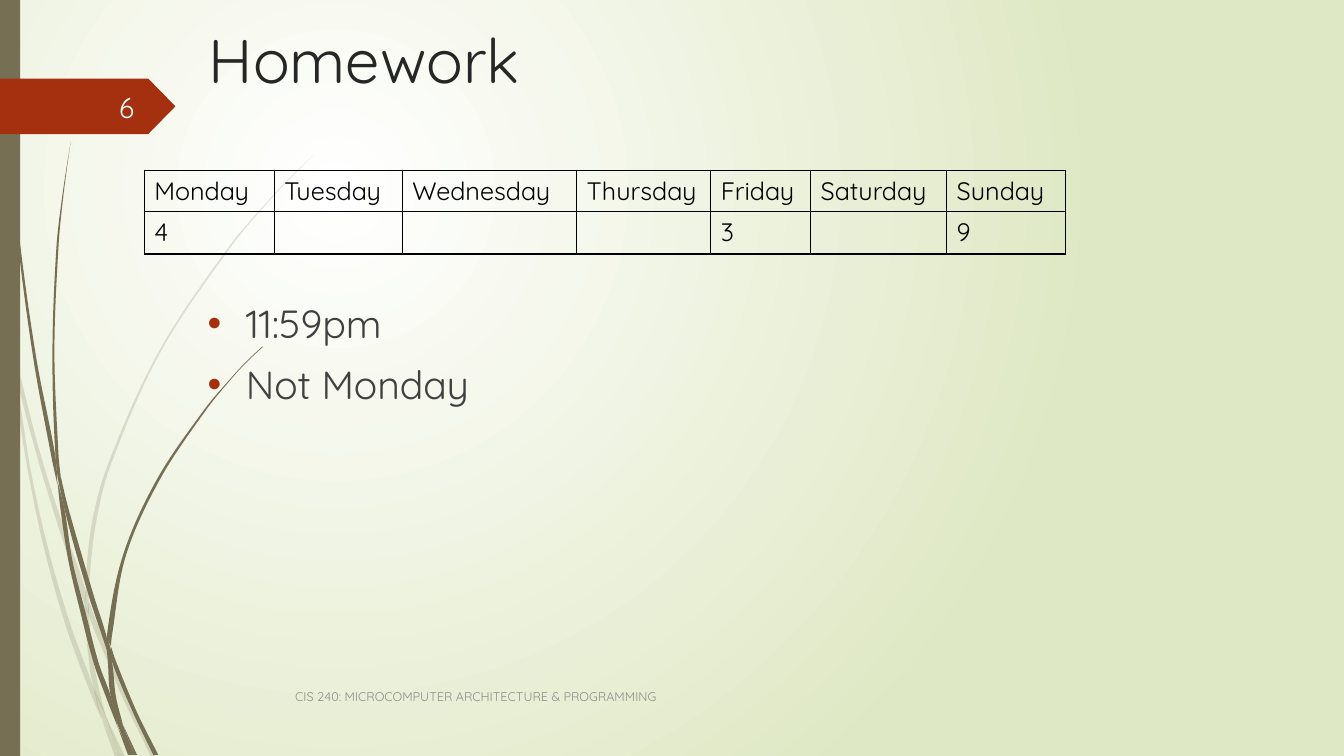
from lxml import etree
from pptx import Presentation
from pptx import util as u
from pptx.dml.color import RGBColor
from pptx.enum import shapes, text
from pptx.oxml import ns

COLORS = {"olive": "766F54", "rust": "A53010", "white": "FFFFFF", "green": "DFE8C4",
          "title": "262626", "body": "404040", "number": "FEFFFF", "footer": "8C8C8C",
          "black": "000000"}
FONT = "Quicksand"
TITLE = "Homework"
BULLETS = ["11:59pm", "Not Monday"]
NUMBER = "6"
FOOTER = "CIS 240: MICROCOMPUTER ARCHITECTURE & PROGRAMMING"
SCHEDULE = [("Monday", 1.29, "4"), ("Tuesday", 1.27, ""), ("Wednesday", 1.73, ""),
            ("Thursday", 1.33, ""), ("Friday", 0.99, "3"), ("Saturday", 1.35, ""),
            ("Sunday", 1.18, "9")]
ROW_HEIGHTS = [0.41, 0.42]

# Each piece of a grass blade: (y, left edge x, right edge x)
FAINT_BLADES = [
    [(2.82, 0, 0), (2.99, 0, 0.04), (3.22, 0.05, 0.09), (3.5, 0.11, 0.11)],
    [(3.45, 0.14, 0.14), (3.76, 0.17, 0.21), (4.5, 0.36, 0.4), (5.2, 0.57, 0.62),
     (5.86, 0.79, 0.85), (5.99, 0.84, 0.84)],
    [(5.96, 0.88, 0.88), (6.1, 0.88, 0.93), (6.5, 1.04, 1.1), (6.93, 1.22, 1.27),
     (7.51, 1.5, 1.55)],
    [(7.11, 1.05, 1.05), (7.51, 1.19, 1.24)],
    [(3.5, 0.11, 0.11), (4, 0.17, 0.2), (4.69, 0.28, 0.31), (5.45, 0.44, 0.48),
     (6.2, 0.65, 0.7), (6.83, 0.88, 0.93), (7.14, 1.01, 1.01)],
    [(5.99, 0.84, 0.84), (6.1, 0.84, 0.88), (6.46, 0.87, 0.91), (6.83, 0.93, 0.98),
     (7.11, 1.05, 1.05)],
    [(1.53, 3.12, 3.12), (1.75, 2.89, 2.9), (1.97, 2.68, 2.69), (2.45, 2.27, 2.29),
     (3.48, 1.58, 1.6), (4.61, 1.07, 1.1), (5.2, 0.91, 0.95), (5.84, 0.85, 0.88),
     (5.96, 0.88, 0.88)],
    [(7.14, 1.01, 1.01), (7.51, 1.14, 1.19)],
    [(5.86, 0.85, 0.85), (5.99, 0.84, 0.88), (6.1, 0.88, 0.88)],
    [(6.83, 0.93, 0.93), (7.07, 0.99, 1.04), (7.51, 1.19, 1.19)],
]
SOLID_BLADES = [
    [(0, 0.03, 0.04), (1.1, 0.07, 0.08), (2.33, 0.17, 0.19), (3.55, 0.33, 0.36),
     (4.53, 0.51, 0.55), (4.81, 0.57, 0.57)],
    [(4.72, 0.6, 0.6), (5.05, 0.64, 0.68), (5.91, 0.88, 0.93), (6.33, 1.02, 1.06),
     (6.45, 1.06, 1.06)],
    [(6.41, 1.1, 1.1), (6.56, 1.11, 1.15), (7.07, 1.32, 1.36), (7.49, 1.52, 1.57)],
    [(4.77, 0.57, 0.57), (5.05, 0.6, 0.64), (5.57, 0.68, 0.72), (6.08, 0.8, 0.85),
     (6.58, 0.93, 0.98), (6.91, 1.05, 1.1), (7.22, 1.17, 1.17)],
    [(1.41, 0.7, 0.7), (1.93, 0.62, 0.63), (2.45, 0.56, 0.58), (3.49, 0.52, 0.54),
     (4.51, 0.55, 0.58), (4.72, 0.6, 0.6)],
    [(7.19, 1.22, 1.22), (7.49, 1.33, 1.36)],
    [(4.49, 0.55, 0.55), (4.72, 0.57, 0.6), (5.05, 0.64, 0.64)],
    [(3.44, 2.6, 2.61), (3.58, 2.45, 2.46), (3.73, 2.31, 2.32), (4.06, 2.03, 2.05),
     (4.75, 1.56, 1.59), (5.51, 1.22, 1.25), (6.31, 1.06, 1.11), (6.41, 1.1, 1.1)],
    [(7.22, 1.17, 1.17), (7.49, 1.27, 1.31)],
    [(6.45, 1.06, 1.06), (6.56, 1.07, 1.11), (6.91, 1.1, 1.15), (7.19, 1.22, 1.22)],
    [(6.31, 1.06, 1.06), (6.45, 1.06, 1.1), (6.56, 1.11, 1.11)],
    [(6.91, 1.1, 1.1), (7.17, 1.16, 1.21), (7.49, 1.3, 1.33)],
]


def rgb(name):
    return RGBColor.from_string(COLORS[name])


def add(parent, tag, **attrs):
    return etree.SubElement(parent, ns.qn(tag), attrs)


def box(left, top, width, height):
    return [u.Inches(v) for v in (left, top, width, height)]


def paint(sp, color):
    sp.shadow.inherit = False
    sp.fill.solid()
    sp.fill.fore_color.rgb = rgb(color)
    sp.line.fill.background()


def style(p, size, color, **formats):
    p.font.color.rgb = rgb(color)
    for key, value in {"size": u.Pt(size), "name": FONT}.items():
        setattr(p.font, key, value)
    for key, value in formats.items():
        setattr(p, key, value)


def add_text(s, place, lines, anchor):
    tf = s.shapes.add_textbox(*box(*place)).text_frame
    tf.word_wrap = True
    tf.vertical_anchor = anchor
    tf.text = "\n".join(lines)
    return tf.paragraphs


def curve(edge):
    points = [edge[0]]
    padded = [edge[0], *edge, edge[-1]]
    for (xa, ya), (xb, yb), (xc, yc), (xd, yd) in zip(padded, padded[1:], padded[2:], padded[3:]):
        third = (yc - yb) / 3
        points += [(xb + (xc - xa) / (yc - ya) * third, yb + third),
                   (xc - (xd - xb) / (yd - yb) * third, yc - third), (xc, yc)]
    return points


def add_blade(s, knots, alpha=None):
    left = curve([(x, y) for y, x, _ in knots])
    right = curve([(x, y) for y, _, x in knots])[::-1]
    outline = [(u.Inches(x), u.Inches(y)) for x, y in left + right]
    builder = s.shapes.build_freeform(*outline[0], scale=1.0)
    builder.add_line_segments(outline[1:], close=True)
    sp = builder.convert_to_shape()
    lines = sp._element.findall(".//" + ns.qn("a:lnTo"))
    bends = len(left) - 1
    for side in (lines[:bends], lines[bends + 1:]):
        for i in range(0, bends, 3):
            bezier = etree.Element(ns.qn("a:cubicBezTo"))
            side[i].addprevious(bezier)
            for line in side[i:i + 3]:
                bezier.append(line[0])
                line.getparent().remove(line)
    paint(sp, "olive")
    if alpha:
        add(sp._element.spPr.find(".//" + ns.qn("a:srgbClr")), "a:alpha", val=str(alpha * 1000))


def add_background(s):
    fill = s.background.fill
    fill.gradient()
    for stop, color in zip(fill.gradient_stops, ("white", "green")):
        stop.color.rgb = rgb(color)
    grad = s._element.find(".//" + ns.qn("a:gradFill"))
    grad.remove(grad.find(ns.qn("a:lin")))
    circle = add(grad, "a:path", path="circle")
    add(circle, "a:fillToRect", l="50000", t="50000", r="100000", b="100000")


def add_schedule(s):
    widths = [width for _, width, _ in SCHEDULE]
    table = s.shapes.add_table(2, len(SCHEDULE),
                               *box(1.43, 1.69, sum(widths), sum(ROW_HEIGHTS))).table
    table.first_row = table.horz_banding = False
    for row, height in zip(table.rows, ROW_HEIGHTS):
        row.height = u.Inches(height)
    for col, (day, width, count) in enumerate(SCHEDULE):
        table.columns[col].width = u.Inches(width)
        for row, value in enumerate((day, count)):
            cell = table.cell(row, col)
            cell.text = value
            style(cell.text_frame.paragraphs[0], 18, "black")
            props = cell._tc.get_or_add_tcPr()
            for side in ("a:lnL", "a:lnR", "a:lnT", "a:lnB"):
                line = add(props, side, w=str(u.Pt(1)))
                add(add(line, "a:solidFill"), "a:srgbClr", val=COLORS["black"])
            cell.fill.background()


def add_bullets(s):
    for i, p in enumerate(add_text(s, (1.96, 2.92, 10.95, 4.13), BULLETS, text.MSO_ANCHOR.TOP)):
        props = p._p.get_or_add_pPr()
        props.set("marL", str(u.Inches(0.38)))
        props.set("indent", str(u.Inches(-0.38)))
        add(add(props, "a:buClr"), "a:srgbClr", val=COLORS["rust"])
        add(props, "a:buFont", typeface="Arial")
        add(props, "a:buChar", char="•")
        style(p, 28, "body", space_before=u.Pt(10 if i else 0))


def main():
    prs = Presentation()
    prs.slide_width, prs.slide_height = u.Inches(13.33), u.Inches(7.5)
    s = prs.slides.add_slide(prs.slide_layouts[5])
    add_background(s)
    for blades, alpha in ((FAINT_BLADES, 20), (SOLID_BLADES, None)):
        for knots in blades:
            add_blade(s, knots, alpha)
    preset = shapes.MSO_SHAPE
    paint(s.shapes.add_shape(preset.RECTANGLE, *box(0, 0, 0.2, 7.5)), "olive")
    tag = s.shapes.add_shape(preset.PENTAGON, *box(0, 0.78, 1.74, 0.55))
    tag.adjustments[0] = 0.49
    paint(tag, "rust")

    title = s.shapes.title
    title.left, title.top, title.width, title.height = box(1.97, 0.17, 10.95, 1.4)
    tf = title.text_frame
    tf.text = TITLE
    tf.auto_size = text.MSO_AUTO_SIZE.NONE
    tf.vertical_anchor = text.MSO_ANCHOR.TOP
    style(tf.paragraphs[0], 44, "title", alignment=text.PP_ALIGN.LEFT)

    add_bullets(s)
    middle = text.MSO_ANCHOR.MIDDLE
    number = add_text(s, (0.58, 0.86, 0.85, 0.4), [NUMBER], middle)[0]
    style(number, 20, "number", alignment=text.PP_ALIGN.RIGHT)
    add_schedule(s)
    style(add_text(s, (2.83, 6.71, 8.33, 0.4), [FOOTER], middle)[0], 9, "footer")
    prs.save("out.pptx")


if __name__ == "__main__":
    main()
